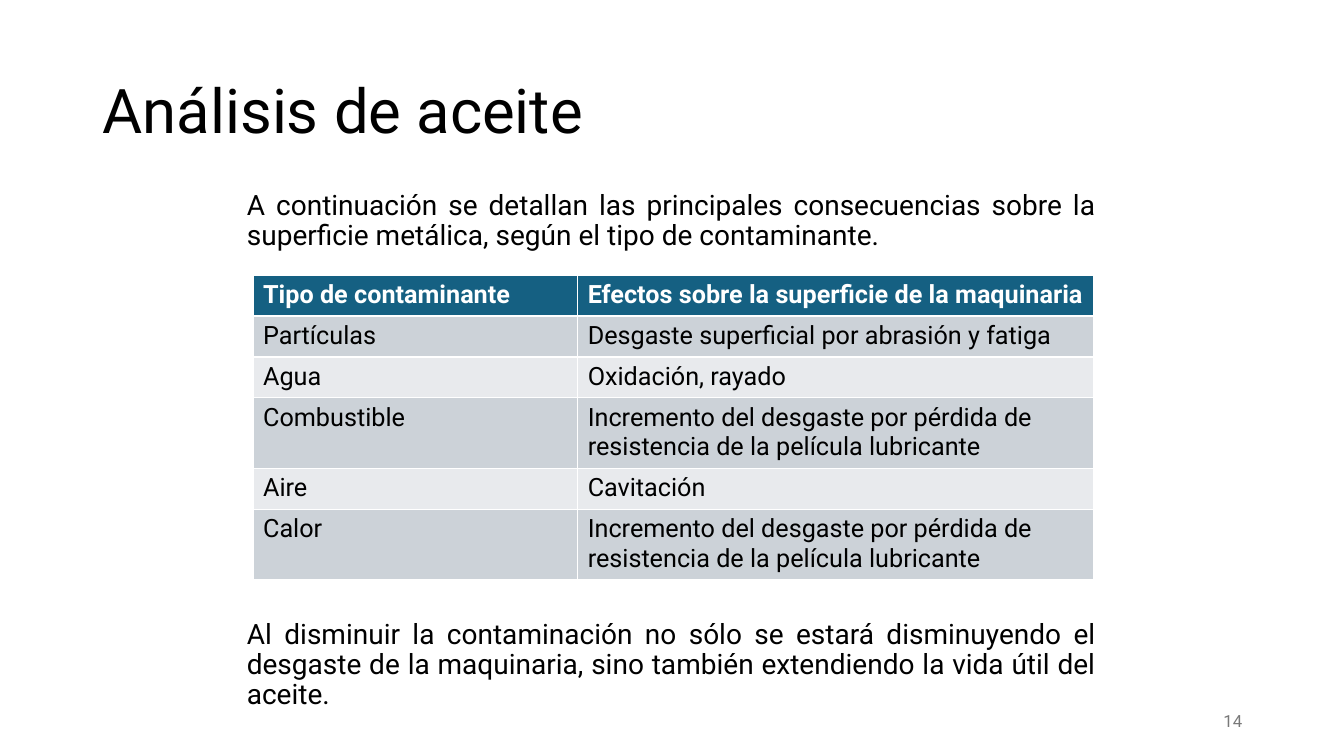
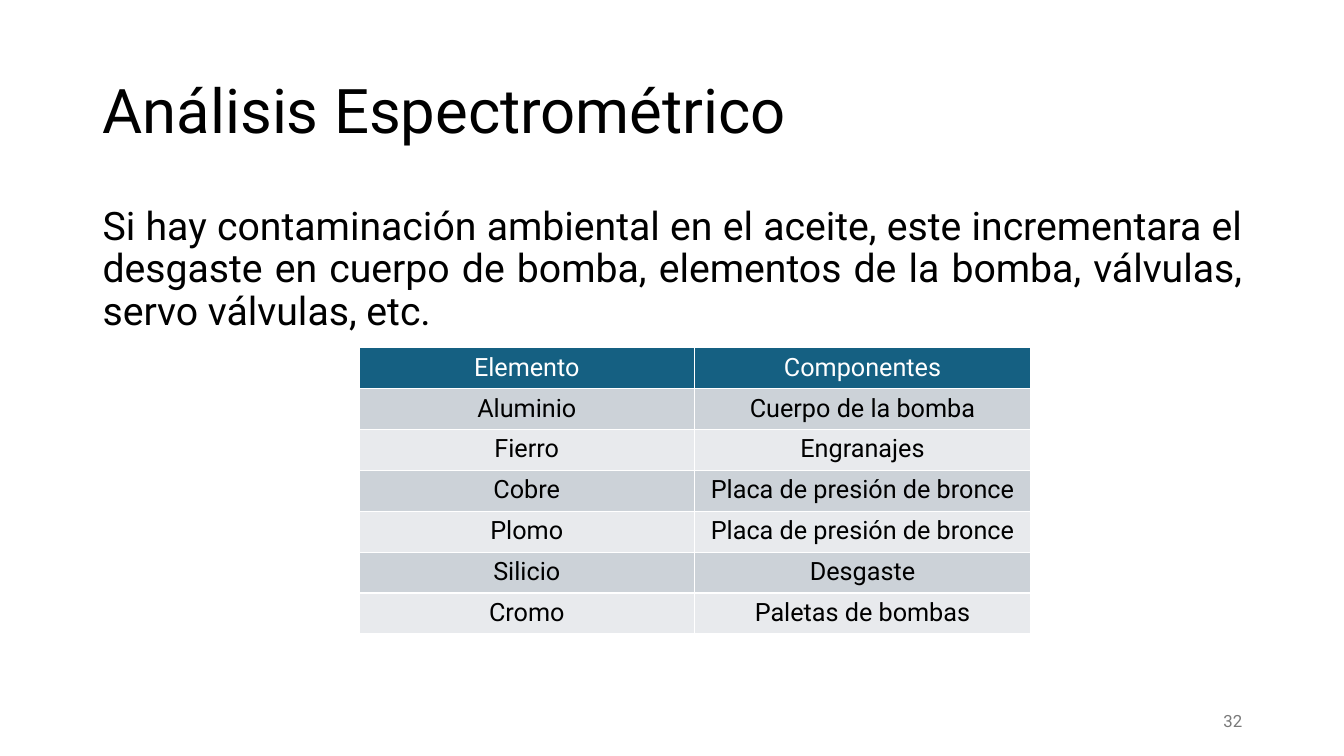
from lxml import etree
from pptx import Presentation
from pptx.dml.color import RGBColor
from pptx.enum.text import MSO_ANCHOR, PP_ALIGN
from pptx.oxml.ns import qn
from pptx.util import Inches, Pt

FONT = "Roboto"
BLACK = RGBColor(0x00, 0x00, 0x00)
WHITE = RGBColor(0xFF, 0xFF, 0xFF)
GRAY = RGBColor(0x79, 0x79, 0x79)
HEADER_FILL = RGBColor(0x15, 0x60, 0x82)
BAND_FILLS = (RGBColor(0xCC, 0xD2, 0xD8), RGBColor(0xE8, 0xEA, 0xED))

ROW_HEIGHT = Pt(29.2)
TWO_LINE_ROW_HEIGHT = Pt(49.5)

CONTAMINANT_ROWS = [
    ("Tipo de contaminante", "Efectos sobre la superficie de la maquinaria"),
    ("Partículas", "Desgaste superficial por abrasión y fatiga"),
    ("Agua", "Oxidación, rayado"),
    ("Combustible", "Incremento del desgaste por pérdida de resistencia de la película lubricante"),
    ("Aire", "Cavitación"),
    ("Calor", "Incremento del desgaste por pérdida de resistencia de la película lubricante"),
]
ELEMENT_ROWS = [
    ("Elemento", "Componentes"),
    ("Aluminio", "Cuerpo de la bomba"),
    ("Fierro", "Engranajes"),
    ("Cobre", "Placa de presión de bronce"),
    ("Plomo", "Placa de presión de bronce"),
    ("Silicio", "Desgaste"),
    ("Cromo", "Paletas de bombas"),
]


def set_text(text_frame, text, size, color=BLACK, align=PP_ALIGN.LEFT, bold=False):
    text_frame.text = text
    paragraph = text_frame.paragraphs[0]
    paragraph.alignment = align
    for run in paragraph.runs:
        run.font.name = FONT
        run.font.size = Pt(size)
        run.font.bold = bold
        run.font.color.rgb = color
    return paragraph


def add_text(slide, text, left, top, width, height, size, color=BLACK,
             align=PP_ALIGN.JUSTIFY, anchor=MSO_ANCHOR.TOP, line_spacing=0.9):
    box = slide.shapes.add_textbox(Inches(left), Inches(top), Inches(width), Inches(height))
    box.text_frame.word_wrap = True
    box.text_frame.vertical_anchor = anchor
    set_text(box.text_frame, text, size, color, align).line_spacing = line_spacing


def add_titled_slide(presentation, title, number):
    slide = presentation.slides.add_slide(presentation.slide_layouts[6])
    add_text(slide, title, 0.92, 0.4, 11.5, 1.45, 44,
             align=PP_ALIGN.LEFT, anchor=MSO_ANCHOR.MIDDLE)
    add_text(slide, str(number), 9.42, 6.95, 3, 0.4, 12, GRAY,
             PP_ALIGN.RIGHT, MSO_ANCHOR.MIDDLE, line_spacing=1.0)
    return slide


def set_borders(cell, color=WHITE, width=Pt(1)):
    properties = cell._tc.get_or_add_tcPr()
    # Border lines must precede the cell fill.
    for index, side in enumerate(("lnL", "lnR", "lnT", "lnB")):
        line = etree.Element(qn(f"a:{side}"), w=str(width))
        fill = etree.SubElement(line, qn("a:solidFill"))
        etree.SubElement(fill, qn("a:srgbClr"), val=str(color))
        properties.insert(index, line)


def add_banded_table(slide, rows, left, top, column_widths, align=PP_ALIGN.LEFT,
                     bold_header=False, two_line_rows=()):
    heights = [TWO_LINE_ROW_HEIGHT if index in two_line_rows else ROW_HEIGHT
               for index in range(len(rows))]
    table = slide.shapes.add_table(
        len(rows), len(column_widths), Inches(left), Inches(top),
        Inches(sum(column_widths)), sum(heights)).table
    table.first_row = table.horz_banding = False
    for column, width in zip(table.columns, column_widths):
        column.width = Inches(width)
    for row_index, values in enumerate(rows):
        table.rows[row_index].height = heights[row_index]
        is_header = row_index == 0
        for column_index, value in enumerate(values):
            cell = table.cell(row_index, column_index)
            cell.fill.solid()
            cell.fill.fore_color.rgb = (
                HEADER_FILL if is_header else BAND_FILLS[(row_index - 1) % 2])
            set_borders(cell)
            set_text(cell.text_frame, value, 18, WHITE if is_header else BLACK,
                     align, is_header and bold_header)


def add_oil_analysis_slide(presentation):
    slide = add_titled_slide(presentation, "Análisis de aceite", 14)
    add_text(slide, "A continuación se detallan las principales consecuencias sobre la "
             "superficie metálica, según el tipo de contaminante.",
             2.35, 1.85, 8.62, 0.75, 20)
    add_banded_table(slide, CONTAMINANT_ROWS, 2.51, 2.73, (3.22, 5.12),
                     bold_header=True, two_line_rows=(3, 5))
    add_text(slide, "Al disminuir la contaminación no sólo se estará disminuyendo el "
             "desgaste de la maquinaria, sino también extendiendo la vida útil del aceite.",
             2.35, 6.1, 8.62, 1, 20)


def add_spectrometry_slide(presentation):
    slide = add_titled_slide(presentation, "Análisis Espectrométrico", 32)
    add_text(slide, "Si hay contaminación ambiental en el aceite, este incrementara el "
             "desgaste en cuerpo de bomba, elementos de la bomba, válvulas, "
             "servo válvulas, etc.", 0.92, 2, 11.5, 1.4, 28)
    add_banded_table(slide, ELEMENT_ROWS, 3.56, 3.45, (3.33, 3.33), PP_ALIGN.CENTER)


def main():
    presentation = Presentation()
    presentation.slide_width = Inches(13.33)
    presentation.slide_height = Inches(7.5)
    add_oil_analysis_slide(presentation)
    add_spectrometry_slide(presentation)
    presentation.save("out.pptx")


if __name__ == "__main__":
    main()
